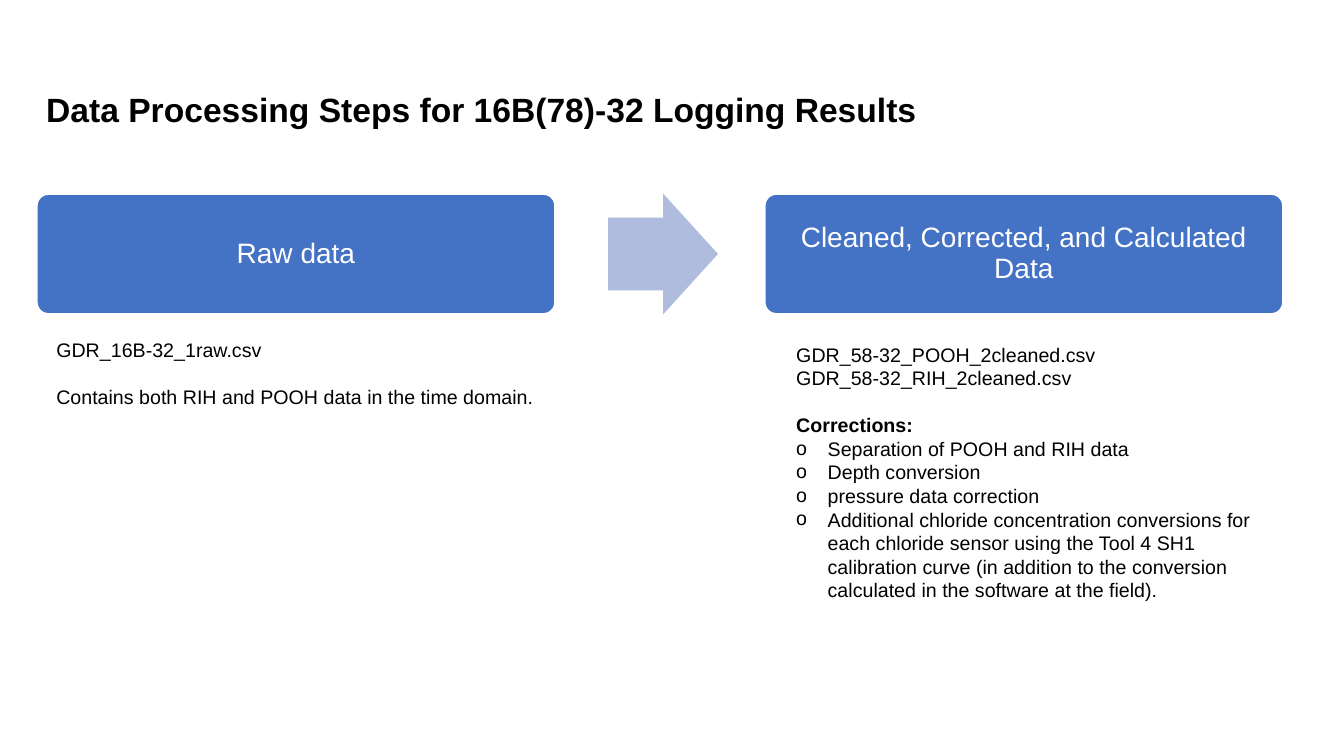
from collections import namedtuple

from lxml import etree
from pptx import Presentation, util as u
from pptx.dml.color import RGBColor
from pptx.enum import shapes, text
from pptx.oxml import ns

COLORS = {"ink": "000000", "step": "4472C4", "arrow": "B0BCDE", "paper": "FFFFFF"}
FONT = "Arial"
WIDTH, HEIGHT = u.Inches(13.33), u.Inches(7.5)
BLANK_LINE = 16.8
Box = namedtuple("Box", "left top width height")
Line = namedtuple("Line", "content bold bullet gap", defaults=(False, False, False))

RAW_NOTES = [
    Line("GDR_16B-32_1raw.csv"),
    Line("Contains both RIH and POOH data in the time domain.", gap=True),
]
CLEANED_NOTES = [
    Line("GDR_58-32_POOH_2cleaned.csv"),
    Line("GDR_58-32_RIH_2cleaned.csv"),
    Line("Corrections:", bold=True, gap=True),
    Line("Separation of POOH and RIH data", bullet=True),
    Line("Depth conversion", bullet=True),
    Line("pressure data correction", bullet=True),
    Line("Additional chloride concentration conversions for each chloride sensor "
         "using the Tool 4 SH1 calibration curve (in addition to the conversion "
         "calculated in the software at the field).", bullet=True),
]


def columns(count):
    return round(WIDTH * count / 100)


def rows(count):
    return round(HEIGHT * count / 100)


def place(box):
    return columns(box.left), rows(box.top), columns(box.width), rows(box.height)


def color(name):
    return RGBColor.from_string(COLORS[name])


def write(paragraph, content, size, color_name, bold=False):
    run = paragraph.add_run()
    run.text = content
    run.font.name = FONT
    run.font.size = u.Pt(size)
    run.font.bold = bold
    run.font.color.rgb = color(color_name)


def add_bullet(paragraph):
    properties = paragraph._p.get_or_add_pPr()
    properties.set("marL", str(columns(2.34)))
    properties.set("indent", str(-columns(2.34)))
    etree.SubElement(properties, ns.qn("a:buFont")).set("typeface", FONT)
    etree.SubElement(properties, ns.qn("a:buChar")).set("char", "o")


def add_lines(slide, box, lines, size, wrap=True):
    frame = slide.shapes.add_textbox(*place(box)).text_frame
    frame.word_wrap = wrap
    for index, line in enumerate(lines):
        paragraph = frame.add_paragraph() if index else frame.paragraphs[0]
        if line.gap:
            paragraph.space_before = u.Pt(BLANK_LINE)
        if line.bullet:
            add_bullet(paragraph)
        write(paragraph, line.content, size, "ink", line.bold)


def add_block(slide, box, kind, fill, adjustments):
    shape = slide.shapes.add_shape(kind, *place(box))
    shape.shadow.inherit = False
    shape.fill.solid()
    shape.fill.fore_color.rgb = color(fill)
    for index, value in enumerate(adjustments):
        shape.adjustments[index] = value
    return shape


def add_step(slide, box, label):
    shape = add_block(slide, box, shapes.MSO_SHAPE.ROUNDED_RECTANGLE, "step", [0.1])
    shape.line.color.rgb = color("paper")
    shape.line.width = u.Pt(2)
    frame = shape.text_frame
    frame.word_wrap = True
    frame.vertical_anchor = text.MSO_ANCHOR.MIDDLE
    frame.margin_left = frame.margin_right = columns(0.6)
    frame.margin_top = frame.margin_bottom = rows(1.07)
    paragraph = frame.paragraphs[0]
    paragraph.alignment = text.PP_ALIGN.CENTER
    paragraph.line_spacing = 0.9
    write(paragraph, label, 20, "paper")


def add_flow(slide, box):
    step_width = box.width * 0.4164
    second = box.left + box.width - step_width
    add_step(slide, box._replace(width=step_width), "Raw data")
    arrow = box._replace(left=box.left + box.width * 0.4585, width=box.width * 0.0881)
    shape = add_block(slide, arrow, shapes.MSO_SHAPE.RIGHT_ARROW, "arrow", [0.6, 0.5])
    shape.line.fill.background()
    add_step(slide, box._replace(left=second, width=step_width),
             "Cleaned, Corrected, and Calculated Data")


def main():
    presentation = Presentation()
    presentation.slide_width, presentation.slide_height = WIDTH, HEIGHT
    slide = presentation.slides.add_slide(presentation.slide_layouts[6])
    title = Line("Data Processing Steps for 16B(78)-32 Logging Results", bold=True)
    add_lines(slide, Box(2.7, 11.07, 66.92, 6.67), [title], 24, wrap=False)
    add_flow(slide, Box(2.7, 25.6, 92.8, 16))
    add_lines(slide, Box(3.45, 44, 37.21, 10.8), RAW_NOTES, 14)
    add_lines(slide, Box(58.51, 44.67, 38.03, 35.87), CLEANED_NOTES, 14)
    presentation.save("out.pptx")


if __name__ == "__main__":
    main()
